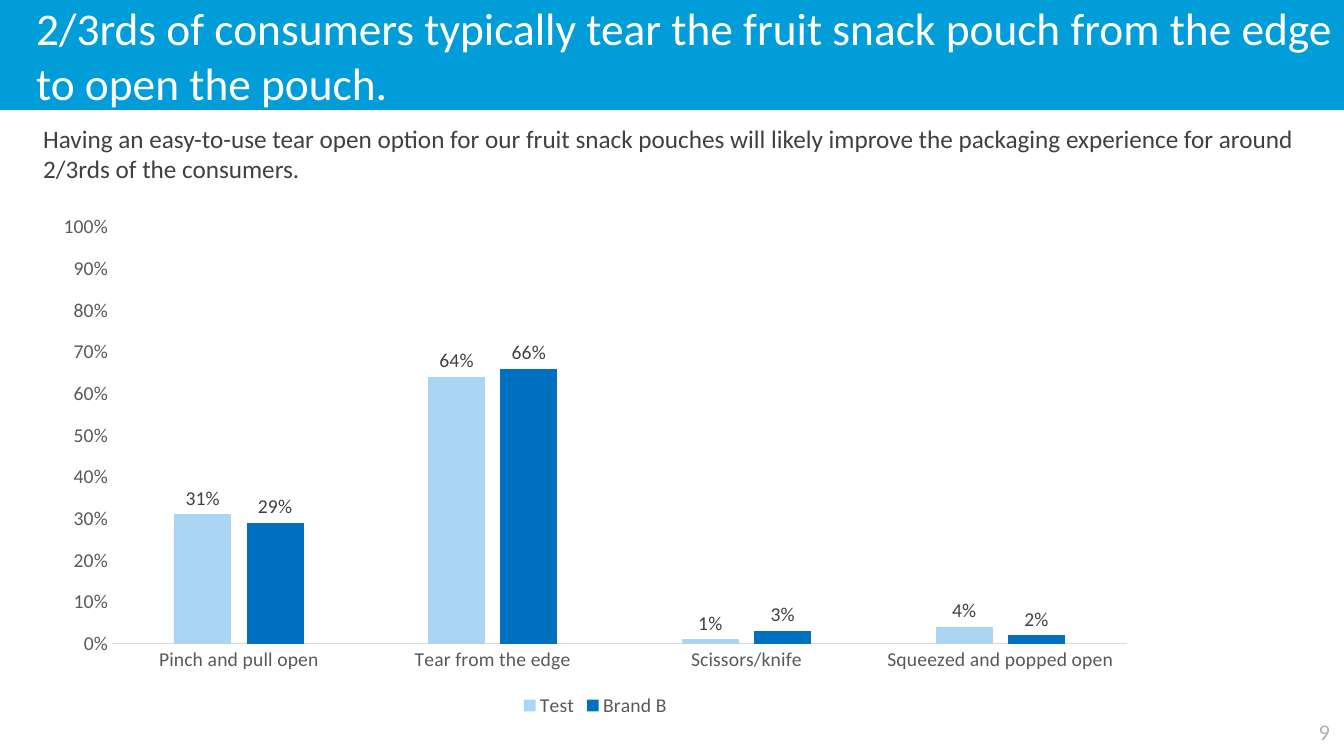
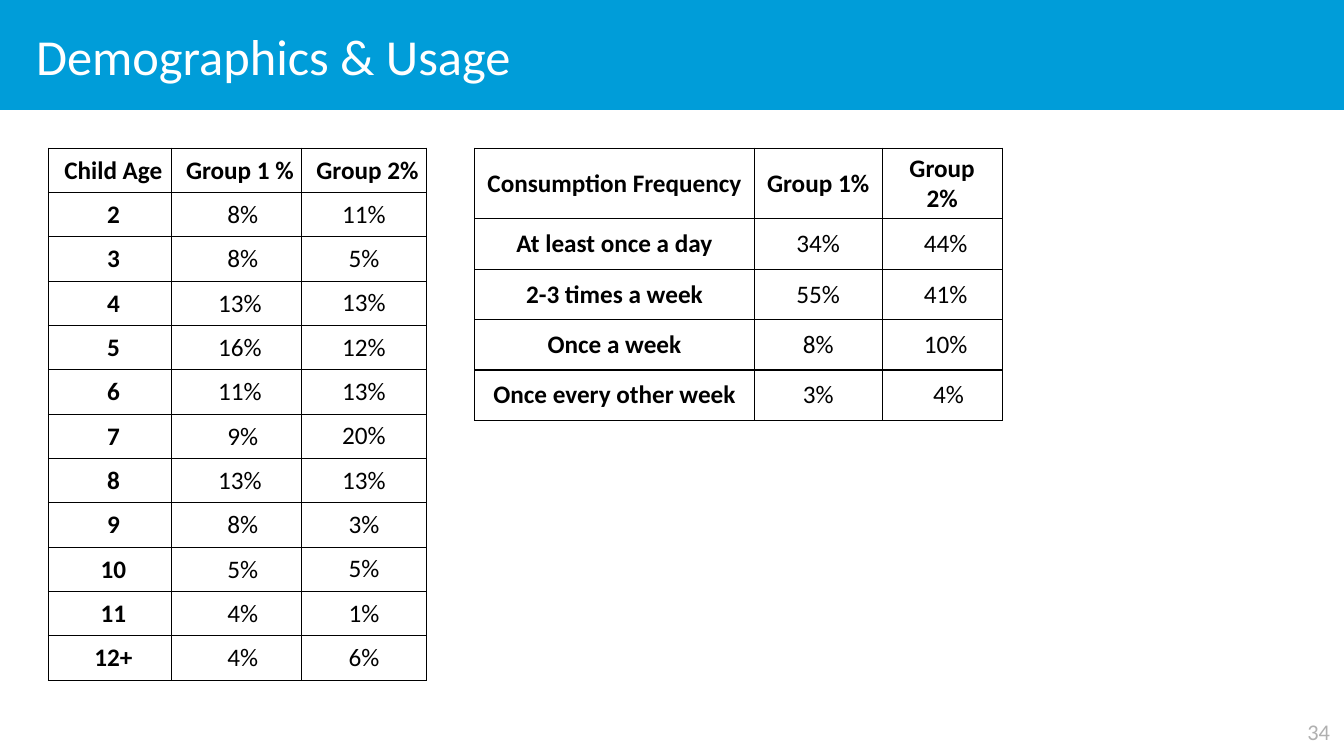
import pptx
import pptx.chart.data
import pptx.dml.color
import pptx.enum.chart
import pptx.enum.text
import pptx.enum.shapes
import pptx.util
from lxml import etree

Inches, Pt = pptx.util.Inches, pptx.util.Pt
ALIGN = pptx.enum.text.PP_ALIGN
ANCHOR = pptx.enum.text.MSO_ANCHOR
NS = "http://schemas.openxmlformats.org/drawingml/2006/main"


def color(hex_str):
    return pptx.dml.color.RGBColor.from_string(hex_str)


def style_font(font, size, hex_str, bold=False):
    font.name = "Calibri"
    font.size = Pt(size)
    font.bold = bold
    font.color.rgb = color(hex_str)


def put_text(tf, text, size=18, hex_str="000000", bold=False, align=ALIGN.LEFT, indent=0):
    p = tf.paragraphs[0]
    p.alignment = align
    if indent:
        p._p.get_or_add_pPr().set("marL", str(Inches(indent)))
    r = p.add_run()
    r.text = text
    style_font(r.font, size, hex_str, bold)


def add_borders(cell, hex_str, width=1):
    tcPr = cell._tc.get_or_add_tcPr()
    for side in ("lnL", "lnR", "lnT", "lnB"):
        ln = etree.SubElement(tcPr, f"{{{NS}}}{side}", w=str(Pt(width)))
        fill = etree.SubElement(ln, f"{{{NS}}}solidFill")
        etree.SubElement(fill, f"{{{NS}}}srgbClr", val=hex_str)


class Deck:
    BAND, WHITE, BLACK = "009DD9", "FFFFFF", "000000"
    BODY, AXIS, RULE, NUMBER = "404040", "595959", "D9D9D9", "B0B0B0"
    SERIES = ("AAD6F4", "0070C0")
    WIDTH, HEIGHT = 13.33, 7.5

    def __init__(self):
        self.prs = pptx.Presentation()
        self.prs.slide_width = Inches(self.WIDTH)
        self.prs.slide_height = Inches(self.HEIGHT)
        self.s = None

    def slide(self, title, number, title_size=36):
        self.s = self.prs.slides.add_slide(self.prs.slide_layouts[6])
        # Title band
        sp = self.s.shapes.add_shape(pptx.enum.shapes.MSO_SHAPE.RECTANGLE,
                                     0, 0, Inches(self.WIDTH), Inches(1.09))
        sp.shadow.inherit = False
        sp.fill.solid()
        sp.fill.fore_color.rgb = color(self.BAND)
        sp.line.fill.background()
        sp.text_frame.vertical_anchor = ANCHOR.MIDDLE
        put_text(sp.text_frame, title, title_size, self.WHITE, indent=0.26)
        # Slide number
        self.text(number, 12.43, 7.08, 0.86, 0.4, size=16,
                  hex_str=self.NUMBER, align=ALIGN.RIGHT)

    def text(self, text, x, y, w, h, **fmt):
        sp = self.s.shapes.add_textbox(*map(Inches, (x, y, w, h)))
        sp.text_frame.word_wrap = True
        put_text(sp.text_frame, text, **fmt)

    def column_chart(self, cats, series, x, y, w, h):
        xl = pptx.enum.chart
        data = pptx.chart.data.CategoryChartData(number_format="0%")
        data.categories = cats
        for name, values in series.items():
            data.add_series(name, values)
        chart = self.s.shapes.add_chart(xl.XL_CHART_TYPE.COLUMN_CLUSTERED,
                                        *map(Inches, (x, y, w, h)), data).chart
        style_font(chart.font, 14, self.BLACK)
        chart.has_title = False
        chart.has_legend = True
        chart.legend.position = xl.XL_LEGEND_POSITION.BOTTOM
        chart.legend.include_in_layout = False
        style_font(chart.legend.font, 14, self.AXIS)
        # Axes
        for axis in (chart.category_axis, chart.value_axis):
            axis.major_tick_mark = axis.minor_tick_mark = xl.XL_TICK_MARK.NONE
            axis.has_major_gridlines = False
            style_font(axis.tick_labels.font, 14, self.AXIS)
        chart.category_axis.format.line.color.rgb = color(self.RULE)
        chart.category_axis.format.line.width = Pt(0.75)
        val = chart.value_axis
        val.format.line.fill.background()
        val.minimum_scale, val.maximum_scale, val.major_unit = 0, 1, 0.1
        val.tick_labels.number_format = "0%"
        val.tick_labels.number_format_is_linked = False
        # Columns and their labels
        plot = chart.plots[0]
        plot.gap_width, plot.overlap = 219, -27
        plot.vary_by_categories = False
        for ser, hex_str in zip(plot.series, self.SERIES):
            ser.format.fill.solid()
            ser.format.fill.fore_color.rgb = color(hex_str)
            labels = ser.data_labels
            labels.show_value = True
            labels.number_format = "0%"
            labels.number_format_is_linked = False
            labels.position = xl.XL_LABEL_POSITION.OUTSIDE_END
            style_font(labels.font, 14, self.BODY)

    def table(self, rows, x, y, widths, row_h, margins, is_tall):
        """Tall cells have no side margins, a deeper top and bottom, and an indent."""
        tb = self.s.shapes.add_table(len(rows), len(widths), Inches(x), Inches(y),
                                     Inches(sum(widths)), Inches(row_h * len(rows))).table
        for col, width in zip(tb.columns, widths):
            col.width = Inches(width)
        for i, row in enumerate(rows):
            tb.rows[i].height = Inches(row_h)
            for j, text in enumerate(row):
                cell, tall = tb.cell(i, j), is_tall(i, j)
                side, end = (0, 0.07) if tall else margins
                cell.margin_left = cell.margin_right = Inches(side)
                cell.margin_top = cell.margin_bottom = Inches(end)
                cell.vertical_anchor = ANCHOR.MIDDLE
                add_borders(cell, self.BLACK)
                cell.fill.background()
                put_text(cell.text_frame, text, bold=i == 0 or j == 0,
                         align=ALIGN.CENTER, indent=0.07 if tall else 0)


def main():
    deck = Deck()

    # Ways of opening the pouch
    deck.slide("2/3rds of consumers typically tear the fruit snack pouch from the edge "
               "to open the pouch.", "9", title_size=32.4)
    deck.column_chart(
        ["Pinch and pull open", "Tear from the edge", "Scissors/knife",
         "Squeezed and popped open"],
        {"Test": (0.31, 0.64, 0.01, 0.04), "Brand B": (0.29, 0.66, 0.03, 0.02)},
        0.41, 2.03, 10.99, 5.13)
    deck.text("Having an easy-to-use tear open option for our fruit snack pouches will likely "
              "improve the packaging experience for around 2/3rds of the consumers.",
              0.33, 1.17, 12.86, 0.71, hex_str=deck.BODY)

    # Demographics
    deck.slide("Demographics & Usage", "34")
    ages = [
        ("Child Age", "Group 1 %", "Group 2%"),
        ("2", " 8%", "11%"),
        ("3", " 8%", "5%"),
        ("4", "13%", "13%"),
        ("5", "16%", "12%"),
        ("6", "11%", "13%"),
        ("7", " 9%", "20%"),
        ("8", "13%", "13%"),
        ("9", " 8%", "3%"),
        ("10", " 5%", "5%"),
        ("11", " 4%", "1%"),
        ("12+", " 4%", "6%"),
    ]
    deck.table(ages, 0.48, 1.47, (1.22, 1.29, 1.24), 0.44, (0.08, 0.04),
               lambda i, j: i == 0 or j < 2)
    frequency = [
        ("Consumption Frequency", "Group 1%", "Group 2%"),
        ("At least once a day", "34%", "44%"),
        ("2-3 times a week", "55%", "41%"),
        ("Once a week", "8%", "10%"),
        ("Once every other week", "3%", " 4%"),
    ]
    deck.table(frequency, 4.71, 1.47, (2.77, 1.27, 1.19), 0.5, (0.1, 0.05),
               lambda i, j: i > 0 and j == 2)

    deck.prs.save("out.pptx")


if __name__ == "__main__":
    main()
